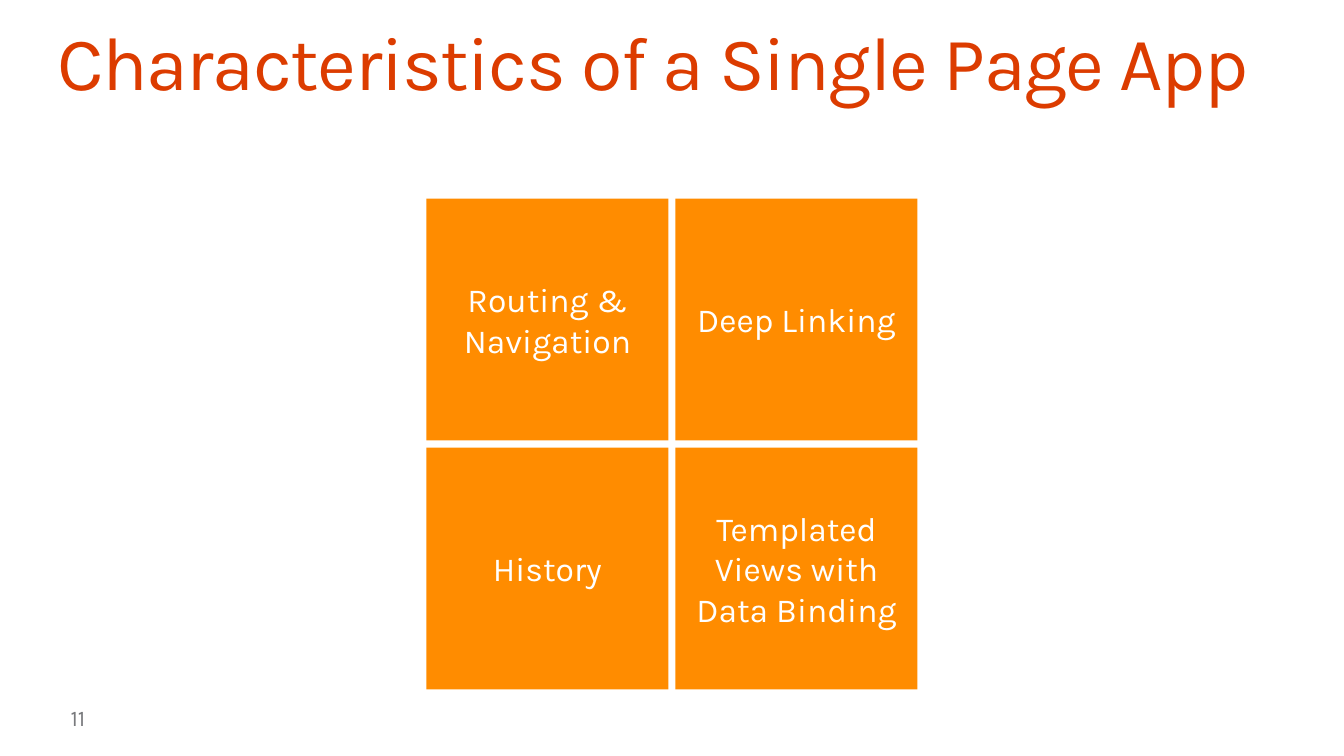
from dataclasses import dataclass

from pptx import Presentation
from pptx.dml.color import RGBColor
from pptx.enum.shapes import MSO_SHAPE
from pptx.enum.text import MSO_ANCHOR, PP_ALIGN
from pptx.util import Emu, Pt

RECT = MSO_SHAPE.RECTANGLE
TOP, MIDDLE = MSO_ANCHOR.TOP, MSO_ANCHOR.MIDDLE
LEFT, CENTER = PP_ALIGN.LEFT, PP_ALIGN.CENTER

EMU_PER_PX = 9144  # 100 px to the inch
FONT = "Karla"
RED, ORANGE, GRAY, WHITE = "DC3C00", "FF8C00", "797A7D", "FFFFFF"

GRID_LEFT, GRID_TOP = 423, 197
TILE, GAP, COLUMNS = 240, 7, 2
CHARACTERISTICS = [
    "Routing & Navigation",
    "Deep Linking",
    "History",
    "Templated Views with Data Binding",
]


@dataclass
class Label:
    text: str
    left: int
    top: int
    width: int
    height: int
    size: int
    color: str
    fill: str = ""
    anchor: MSO_ANCHOR = MIDDLE
    align: PP_ALIGN = LEFT
    margin_x: int = 10
    margin_y: int = 5
    line_spacing: float = 1.0
    tracking: int = 0  # hundredths of a point


def px(n: int) -> Emu:
    return Emu(n * EMU_PER_PX)


def rgb(color: str) -> RGBColor:
    return RGBColor.from_string(color)


def add_label(s, label: Label) -> None:
    box = [px(n) for n in (label.left, label.top, label.width, label.height)]
    if label.fill:
        sp = s.shapes.add_shape(RECT, *box)
        sp.shadow.inherit = False
        sp.fill.solid()
        sp.fill.fore_color.rgb = rgb(label.fill)
        sp.line.fill.background()
    else:
        sp = s.shapes.add_textbox(*box)

    tf = sp.text_frame
    tf.text = label.text
    tf.word_wrap = True
    tf.vertical_anchor = label.anchor
    tf.margin_left = tf.margin_right = px(label.margin_x)
    tf.margin_top = tf.margin_bottom = px(label.margin_y)

    p = tf.paragraphs[0]
    p.alignment = label.align
    p.line_spacing = label.line_spacing
    r = p.runs[0]
    r.font.name = FONT
    r.font.size = Pt(label.size)
    r.font.color.rgb = rgb(label.color)
    if label.tracking:
        r._r.get_or_add_rPr().set("spc", str(label.tracking))


def main() -> None:
    prs = Presentation()
    prs.slide_width, prs.slide_height = px(1333), px(750)
    s = prs.slides.add_slide(prs.slide_layouts[6])

    # Title
    add_label(s, Label("Characteristics of a Single Page App", 57, 25, 1219, 82,
                       54, RED, anchor=TOP, margin_x=0, margin_y=0,
                       line_spacing=0.9, tracking=-100))

    # Slide number
    add_label(s, Label("11", 57, 700, 61, 24, 16, GRAY, margin_x=13, margin_y=7))

    # Grid of characteristics
    for i, text in enumerate(CHARACTERISTICS):
        row, column = divmod(i, COLUMNS)
        add_label(s, Label(text, GRID_LEFT + column * (TILE + GAP),
                           GRID_TOP + row * (TILE + GAP), TILE, TILE,
                           24, WHITE, fill=ORANGE, align=CENTER))

    prs.save("out.pptx")


if __name__ == "__main__":
    main()
